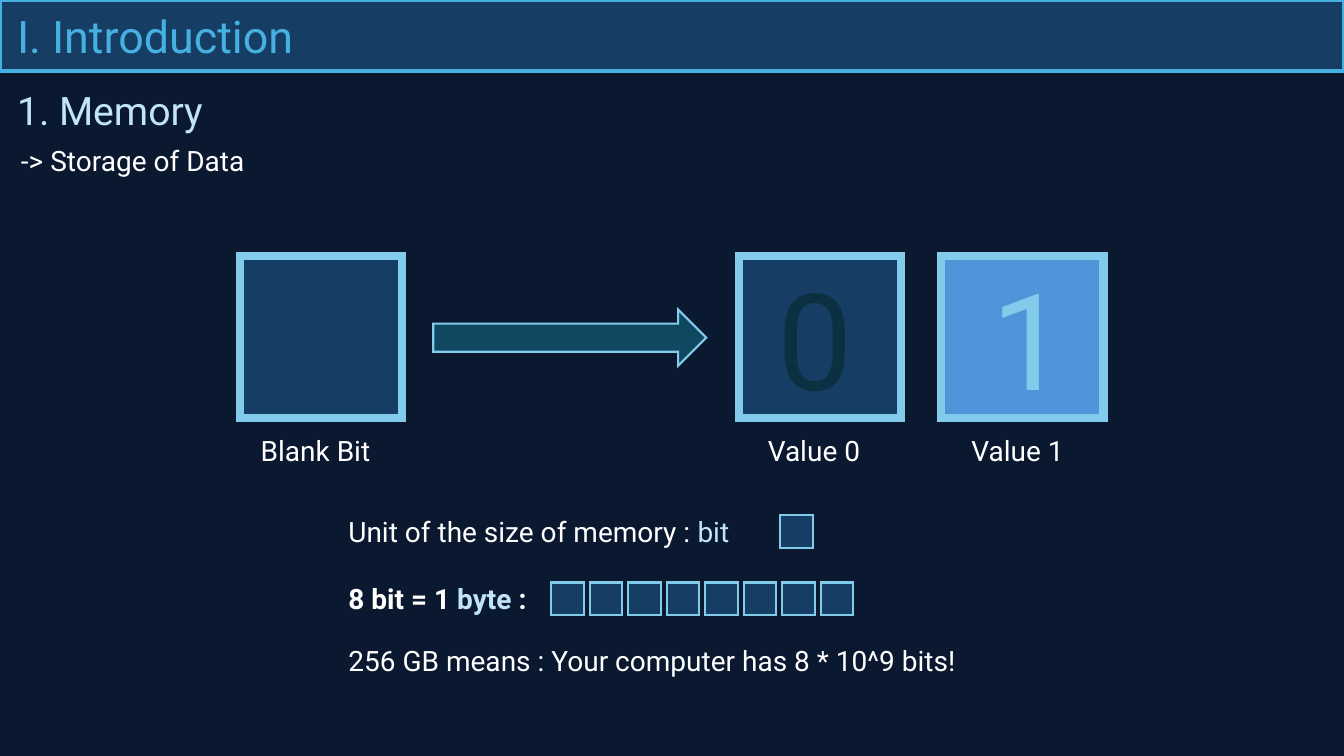
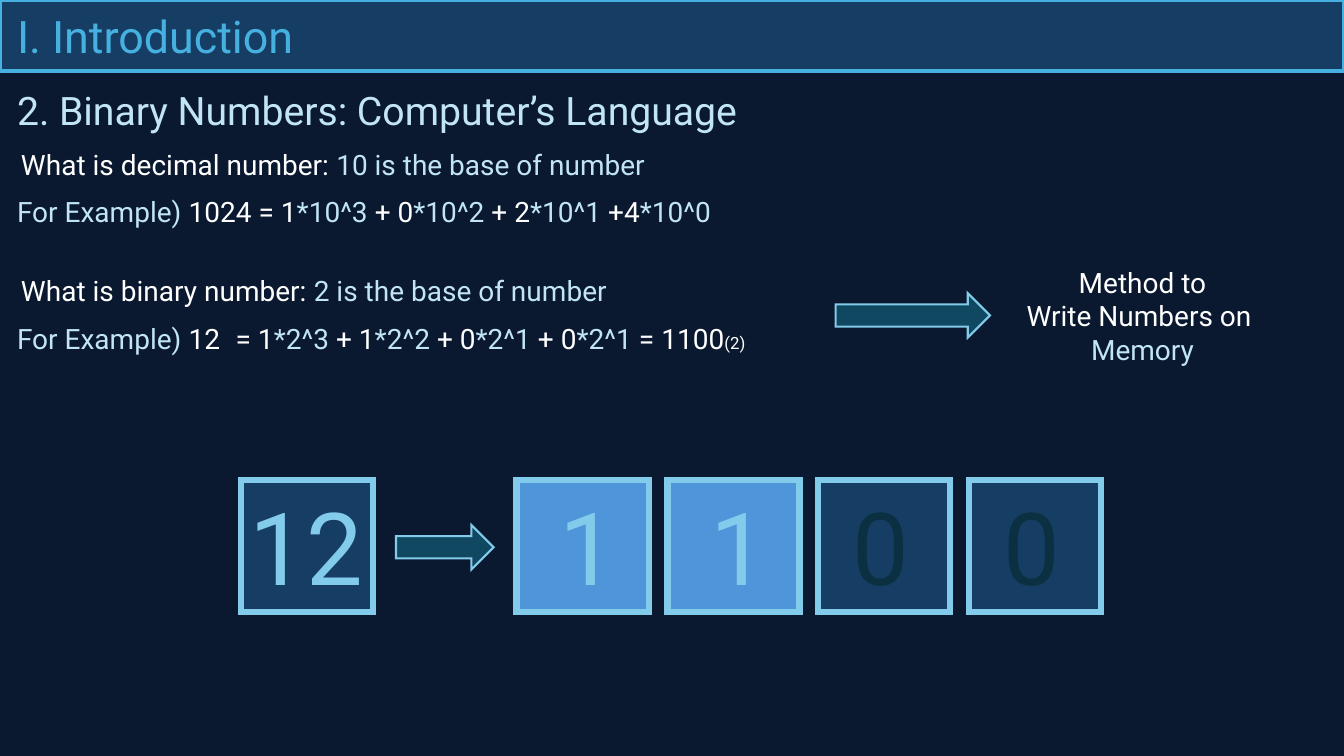
"""Build two slides that introduce memory bits and binary numbers."""

from dataclasses import dataclass

import lxml.etree
import pptx
import pptx.dml.color
import pptx.enum.shapes
import pptx.enum.text
import pptx.oxml.ns
import pptx.util

Cm = pptx.util.Cm
Pt = pptx.util.Pt
MSO_SHAPE = pptx.enum.shapes.MSO_SHAPE
PP_ALIGN = pptx.enum.text.PP_ALIGN

FONT = "Roboto"
SLIDE_WIDTH, SLIDE_HEIGHT = 33.87, 19.05
COLOURS = {
    "background": "0A1930",
    "panel": "163E64",
    "title": "46B1E1",
    "pale": "C1E5F5",
    "white": "FFFFFF",
    "outline": "83CBEB",
    "lit": "4E95D9",
    "dim": "0B3041",
    "arrow": "104862",
}
DIGIT_WIDTH_PER_POINT = {"0": 0.0222, "1": 0.0159, "12": 0.04}
LINE_HEIGHT_PER_POINT = 0.0428
SIDE_INSETS, TOP_INSETS = 0.51, 0.25
SMALL_BIT, SMALL_BIT_STEP = 0.82, 0.97


@dataclass(frozen=True)
class TextLine:
    """Body text whose segments between bars alternate white and pale."""

    left: float
    top: float
    width: float
    text: str
    bold: bool = False
    align: PP_ALIGN = PP_ALIGN.LEFT
    subscript: str = ""


@dataclass(frozen=True)
class Tile:
    """A square that stands for a bit or number, with its digits centred."""

    left: float
    top: float
    side: float
    border: float
    digit: str = ""
    digit_size: float = 96
    fill: str = "panel"
    digit_colour: str = "outline"


@dataclass(frozen=True)
class Arrow:
    """A block arrow pointing right."""

    left: float
    top: float
    width: float
    height: float


def rgb(name: str) -> pptx.dml.color.RGBColor:
    """Return a named colour."""
    return pptx.dml.color.RGBColor.from_string(COLOURS[name])


def text_height(size: float, lines: int = 1) -> float:
    """Return the height of a box that holds the given lines."""
    return TOP_INSETS + LINE_HEIGHT_PER_POINT * size * lines


def add_text(slide, text: str, *, left: float, top: float, width: float,
             size: float = 20, colours: tuple = ("white", "pale"),
             bold: bool = False, align: PP_ALIGN = PP_ALIGN.LEFT,
             wrap: bool = False, subscript: str = "") -> None:
    """Add text, one paragraph per line, with colours alternating at bars."""
    lines = text.split("\n")
    box = slide.shapes.add_textbox(
        Cm(left), Cm(top), Cm(width), Cm(text_height(size, len(lines))))
    frame = box.text_frame
    frame.word_wrap = wrap
    frame.auto_size = pptx.enum.text.MSO_AUTO_SIZE.SHAPE_TO_FIT_TEXT
    for number, line in enumerate(lines):
        paragraph = frame.add_paragraph() if number else frame.paragraphs[0]
        paragraph.alignment = align
        runs = [(segment, colours[index % len(colours)], size)
                for index, segment in enumerate(line.split("|")) if segment]
        if subscript:
            runs.append((subscript, colours[0], 12))
        for segment, colour, points in runs:
            run = paragraph.add_run()
            run.text = segment
            run.font.name = FONT
            run.font.size = Pt(points)
            run.font.bold = bold
            run.font.color.rgb = rgb(colour)


def add_block(slide, kind: MSO_SHAPE, left: float, top: float, width: float,
              height: float, *, fill: str = "panel", line: str = "outline",
              border: float = 1.5) -> None:
    """Add a filled preset shape with a sharp-cornered outline."""
    shape = slide.shapes.add_shape(kind, Cm(left), Cm(top), Cm(width), Cm(height))
    shape.shadow.inherit = False
    shape.fill.solid()
    shape.fill.fore_color.rgb = rgb(fill)
    shape.line.color.rgb = rgb(line)
    shape.line.width = Pt(border)
    outline = shape.element.spPr.find(pptx.oxml.ns.qn("a:ln"))
    lxml.etree.SubElement(outline, pptx.oxml.ns.qn("a:miter"), lim="800000")


def add_tile(slide, tile: Tile) -> None:
    """Draw a tile and its digits."""
    add_block(slide, MSO_SHAPE.RECTANGLE, tile.left, tile.top, tile.side,
              tile.side, fill=tile.fill, border=tile.border)
    if tile.digit:
        width = SIDE_INSETS + DIGIT_WIDTH_PER_POINT[tile.digit] * tile.digit_size
        height = text_height(tile.digit_size)
        add_text(slide, tile.digit, left=tile.left + (tile.side - width) / 2,
                 top=tile.top + (tile.side - height) / 2, width=width,
                 size=tile.digit_size, colours=(tile.digit_colour,))


def bit_style(digit: str) -> dict:
    """Return the digit and colours of a bit that is off or on."""
    if digit == "1":
        return {"digit": digit, "fill": "lit", "digit_colour": "outline"}
    return {"digit": digit, "fill": "panel", "digit_colour": "dim"}


def add_topic_slide(presentation, heading: str, heading_width: float,
                    lines: list[TextLine], tiles: list[Tile],
                    arrows: list[Arrow]) -> None:
    """Add a slide with the shared title band and its own content."""
    slide = presentation.slides.add_slide(presentation.slide_layouts[6])
    add_block(slide, MSO_SHAPE.RECTANGLE, 0, 0, SLIDE_WIDTH, 1.8,
              line="title", border=3)
    add_text(slide, "I. Introduction", left=0.18, top=0.09, width=8.36,
             size=32, colours=("title",))
    add_text(slide, heading, left=0.18, top=2.04, width=heading_width,
             size=28, colours=("pale",), wrap=True)
    for tile in tiles:
        add_tile(slide, tile)
    for arrow in arrows:
        add_block(slide, MSO_SHAPE.RIGHT_ARROW, arrow.left, arrow.top,
                  arrow.width, arrow.height, fill="arrow")
    for line in lines:
        add_text(slide, line.text, left=line.left, top=line.top,
                 width=line.width, bold=line.bold, align=line.align,
                 subscript=line.subscript)


def add_memory_slide(presentation) -> None:
    """Add the slide about bits and bytes."""
    large = {"top": 6.45, "side": 4.09, "border": 6}
    small = {"side": SMALL_BIT, "border": 1.5}
    byte = [Tile(13.89 + SMALL_BIT_STEP * index, 14.68, **small)
            for index in range(8)]
    add_topic_slide(
        presentation, "1. Memory", 9.4,
        lines=[
            TextLine(0.28, 3.5, 6.88, "-> Storage of Data"),
            TextLine(6.32, 10.79, 3.56, "Blank Bit"),
            TextLine(19.1, 10.79, 3.1, "Value 0"),
            TextLine(24.23, 10.79, 2.97, "Value 1"),
            TextLine(8.53, 12.83, 11.15, "Unit of the size of memory : |bit"),
            TextLine(8.53, 14.53, 5.59, "8 bit = 1| byte |:", bold=True),
            TextLine(8.53, 16.1, 17.3,
                     "256 GB means : Your computer has 8 * 10^9 bits!"),
        ],
        tiles=[
            Tile(6.05, **large),
            Tile(18.62, **large, **bit_style("0")),
            Tile(23.72, **large, **bit_style("1")),
            Tile(19.66, 12.98, **small),
            *byte,
        ],
        arrows=[Arrow(10.92, 7.8, 6.88, 1.42)])


def add_binary_slide(presentation) -> None:
    """Add the slide about decimal and binary numbers."""
    medium = {"top": 12.1, "side": 3.33, "border": 4.5, "digit_size": 72}
    bits = [Tile(13.02 + 3.8 * index, **medium, **bit_style(digit))
            for index, digit in enumerate("1100")]
    add_topic_slide(
        presentation, "2. Binary Numbers: Computer’s Language", 21.87,
        lines=[
            TextLine(0.28, 3.58, 17.83,
                     "What is decimal number: |10 is the base of number"),
            TextLine(0.18, 4.78, 19.69,
                     "|For Example) |1024 = 1|*10^3| + 0|*10^2| + 2|*10^1| +4|*10^0"),
            TextLine(0.28, 6.77, 16.59,
                     "What is binary number: |2 is the base of number"),
            TextLine(0.18, 7.98, 6.05, "|For Example) |12"),
            TextLine(5.69, 7.98, 14.99,
                     "= 1|*2^3 |+ 1|*2^2 |+ 0|*2^1 |+ 0|*2^1 |= 1100",
                     subscript="(2)"),
            TextLine(25.3, 6.56, 6.99,
                     "Method to\nWrite Numbers on \n|Memory",
                     align=PP_ALIGN.CENTER),
        ],
        tiles=[Tile(6.07, **medium, digit="12"), *bits],
        arrows=[Arrow(21.06, 7.39, 3.89, 1.12), Arrow(9.98, 13.23, 2.46, 1.12)])


def main() -> None:
    """Build and save the presentation."""
    presentation = pptx.Presentation()
    presentation.slide_width = Cm(SLIDE_WIDTH)
    presentation.slide_height = Cm(SLIDE_HEIGHT)
    background = presentation.slide_master.background.fill
    background.solid()
    background.fore_color.rgb = rgb("background")
    add_memory_slide(presentation)
    add_binary_slide(presentation)
    presentation.save("out.pptx")


if __name__ == "__main__":
    main()
